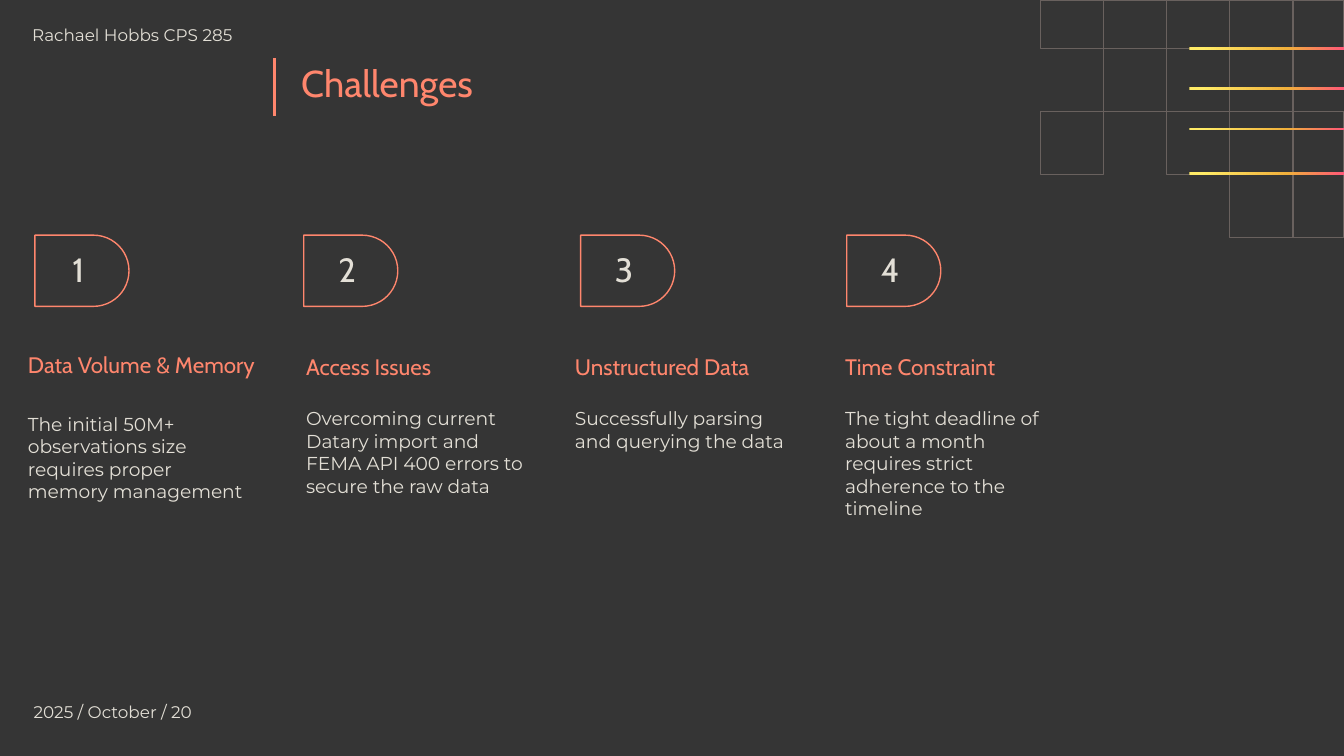
from dataclasses import dataclass

from lxml.etree import SubElement
from pptx import Presentation
from pptx.dml.color import RGBColor
from pptx.enum.shapes import MSO_CONNECTOR, MSO_SHAPE
from pptx.enum.text import MSO_ANCHOR, PP_ALIGN
from pptx.oxml.ns import qn
from pptx.util import Inches, Pt


@dataclass(frozen=True)
class Theme:
    background: str = "353535"
    accent: str = "FF866D"
    text: str = "E3DFD6"
    grid: str = "69615E"
    stripe: tuple = ((0, "FFEB67"), (8, "FFEB67"), (63, "F0B03B"), (100, "FF5777"))
    heading_font: str = "Cabin"
    body_font: str = "Montserrat"
    title_size: float = 20
    number_size: float = 18
    heading_size: float = 12
    body_size: float = 10
    label_size: float = 9
    thin_line: float = 0.75
    rule_line: float = 1.5


class SlideBuilder:
    def __init__(self, slide, theme):
        self.slide = slide
        self.theme = theme
        fill = slide.background.fill
        fill.solid()
        fill.fore_color.rgb = RGBColor.from_string(theme.background)

    def shape(self, kind, left, top, width, height):
        shape = self.slide.shapes.add_shape(
            kind, Inches(left), Inches(top), Inches(width), Inches(height))
        shape.shadow.inherit = False
        return shape

    def outline(self, kind, left, top, width, height, color):
        shape = self.shape(kind, left, top, width, height)
        shape.fill.background()
        shape.line.color.rgb = RGBColor.from_string(color)
        shape.line.width = Pt(self.theme.thin_line)
        return shape

    def badge(self, left, top, width, height):
        shift = (width - height) / 2
        shape = self.outline(MSO_SHAPE.ROUND_2_SAME_RECTANGLE, left + shift,
                             top - shift, height, width, self.theme.accent)
        shape.adjustments[0] = 0.5
        shape.adjustments[1] = 0
        shape.rotation = 90

    def stripe(self, left, top, width, height):
        shape = self.shape(MSO_SHAPE.RECTANGLE, left, top, width, height)
        shape.line.fill.background()
        shape.fill.gradient()
        shape.fill.gradient_angle = 0
        stops = next(shape._element.spPr.iter(qn("a:gsLst")))
        for stop in list(stops):
            stops.remove(stop)
        for position, color in self.theme.stripe:
            stop = SubElement(stops, qn("a:gs"), pos=str(position * 1000))
            SubElement(stop, qn("a:srgbClr"), val=color)

    def rule(self, left, top, bottom):
        connector = self.slide.shapes.add_connector(
            MSO_CONNECTOR.STRAIGHT, Inches(left), Inches(top), Inches(left), Inches(bottom))
        connector.line.color.rgb = RGBColor.from_string(self.theme.accent)
        connector.line.width = Pt(self.theme.rule_line)
        SubElement(connector._element.spPr, qn("a:effectLst"))

    def text(self, text, left, top, width, height, font, size, color,
             insets=(0.1, 0.1, 0.1, 0.1), anchor=MSO_ANCHOR.TOP, align=PP_ALIGN.LEFT):
        box = self.slide.shapes.add_textbox(
            Inches(left), Inches(top), Inches(width), Inches(height))
        frame = box.text_frame
        frame.word_wrap = True
        frame.vertical_anchor = anchor
        (frame.margin_left, frame.margin_top,
         frame.margin_right, frame.margin_bottom) = map(Inches, insets)
        frame.text = text
        paragraph = frame.paragraphs[0]
        paragraph.alignment = align
        run_font = paragraph.runs[0].font
        run_font.name = font
        run_font.size = Pt(size)
        run_font.color.rgb = RGBColor.from_string(color)

    def label(self, text, left, top, width, height, insets):
        self.text(text, left, top, width, height, self.theme.body_font,
                  self.theme.label_size, self.theme.text, insets)

    def title(self, text, left, top, width, height):
        self.text(text, left, top, width, height, self.theme.heading_font,
                  self.theme.title_size, self.theme.accent, (0.2, 0.1, 0.1, 0.1))

    def number(self, text, left, top, width, height):
        self.badge(left, top, width, height)
        self.text(text, left, top, width, height, self.theme.heading_font,
                  self.theme.number_size, self.theme.text,
                  (0.1, 0.1, 0.15, 0.1), align=PP_ALIGN.CENTER)

    def heading(self, text, left, top, width, height):
        self.text(text, left, top, width, height, self.theme.heading_font,
                  self.theme.heading_size, self.theme.accent, anchor=MSO_ANCHOR.BOTTOM)

    def body(self, text, left, top, width, height):
        self.text(text, left, top, width, height, self.theme.body_font,
                  self.theme.body_size, self.theme.text, (0.1, 0.1, 0, 0.1))


GRID_LEFT, GRID_CELL, GRID_RIGHT = 7.74, 0.47, 10
GRID_ROWS = [
    (0, 0.36, (0, 1, 2, 3, 4)),
    (0.36, GRID_CELL, (1, 2, 3)),
    (0.83, GRID_CELL, (0, 2, 3, 4)),
    (1.3, GRID_CELL, (3, 4)),
]
STRIPE_TOPS = (0.35, 0.65, 0.95, 1.28)

CHALLENGES = [
    (0.26, (0.11, 2.38, 2.26, 0.53), 2.97, "Data Volume & Memory",
     "The initial 50M+ observations size requires proper memory management"),
    (2.26, (2.18, 2.36, 1.73, 0.57), 2.93, "Access Issues",
     "Overcoming current Datary import and FEMA API 400 errors to secure the raw data"),
    (4.32, (4.18, 2.36, 1.73, 0.57), 2.93, "Unstructured Data",
     "Successfully parsing and querying the data"),
    (6.3, (6.19, 2.36, 1.73, 0.57), 2.93, "Time Constraint",
     "The tight deadline of about a month requires strict adherence to the timeline"),
]


def main():
    presentation = Presentation()
    presentation.slide_width = Inches(10)
    presentation.slide_height = Inches(10 * 9 / 16)
    slide = presentation.slides.add_slide(presentation.slide_layouts[6])
    theme = Theme()
    builder = SlideBuilder(slide, theme)

    builder.rule(2.04, 0.43, 0.86)
    for top, height, columns in GRID_ROWS:
        for column in columns:
            left = GRID_LEFT + column * GRID_CELL
            width = min(GRID_CELL, GRID_RIGHT - left)
            builder.outline(MSO_SHAPE.RECTANGLE, left, top, width, height, theme.grid)
    for top in STRIPE_TOPS:
        builder.stripe(8.85, top, 1.15, 0.02)

    builder.label("Rachael Hobbs CPS 285", 0.04, 0.1, 2, 0.15, (0.2, 0.08, 0.1, 0))
    builder.title("Challenges", 2.04, 0.35, 2, 0.57)
    for index, (badge_left, heading_box, body_top, heading, body) in enumerate(CHALLENGES, 1):
        builder.number(str(index), badge_left, 1.75, 0.7, 0.53)
        builder.heading(heading, *heading_box)
        builder.body(body, heading_box[0], body_top, 1.73, 1.83)
    builder.label("2025 / October / 20", 0.25, 5.22, 2.12, 0.21, (0, 0, 0, 0))

    presentation.save("out.pptx")


if __name__ == "__main__":
    main()
